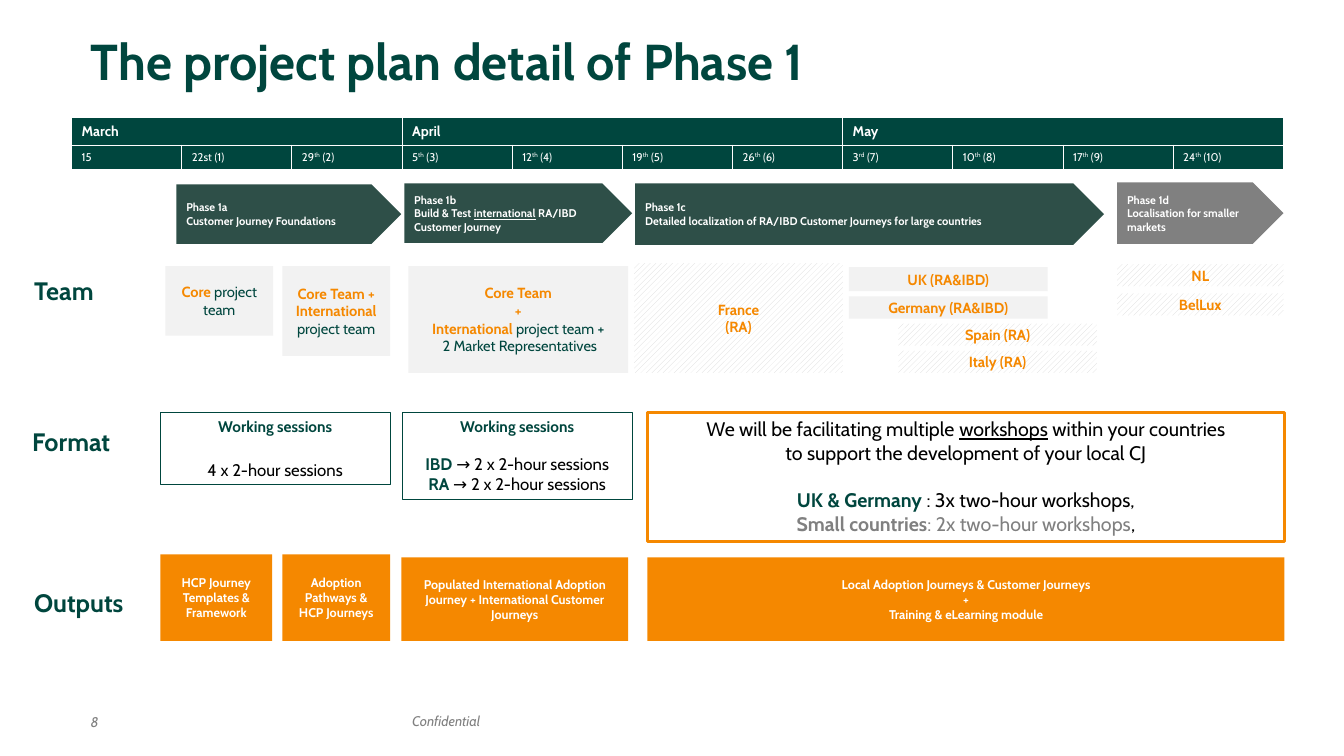
from lxml import etree
from pptx import Presentation
from pptx import util as u
from pptx.dml.color import RGBColor
from pptx.enum import dml, shapes, text
from pptx.oxml.ns import qn

FONT = "Cabin"
GREEN, SLATE, ORANGE = "00463E", "2E4F48", "F58800"
GREY, PALE, HATCH = "808080", "F2F2F2", "D9D9D9"
WHITE, BLACK = "FFFFFF", "000000"
LEFT, CENTER = text.PP_ALIGN.LEFT, text.PP_ALIGN.CENTER
TOP, MIDDLE = text.MSO_ANCHOR.TOP, text.MSO_ANCHOR.MIDDLE

PLAIN_GREEN = dict(color=GREEN, bold=False)
PLAIN_BLACK = dict(color=BLACK, bold=False)
STRONG_GREEN = dict(color=GREEN, bold=True)
UNDERLINED = dict(underline=True)


def rgb(value):
    return RGBColor.from_string(value)


def add_run(p, content, size, color, bold=False, italic=False,
            underline=False, superscript=False):
    r = p.add_run()
    r.text = content
    f = r.font
    f.name, f.size, f.color.rgb = FONT, u.Pt(size), rgb(color)
    f.bold, f.italic, f.underline = bold, italic, underline
    if superscript:
        r._r.get_or_add_rPr().set("baseline", "30000")


def write(tf, paras, align=LEFT, anchor=TOP, wrap=True, gaps=None, **base):
    """Fill a frame: a paragraph is a string or a list of strings and
    (string, format) pairs; gaps maps a paragraph index to its space before."""
    tf.word_wrap, tf.vertical_anchor = wrap, anchor
    for i, runs in enumerate(paras):
        p = tf.paragraphs[0] if i == 0 else tf.add_paragraph()
        p.alignment = align
        if gaps and i in gaps:
            p.space_before = u.Pt(gaps[i])
        for run in [runs] if isinstance(runs, str) else runs:
            content, extra = (run, {}) if isinstance(run, str) else run
            add_run(p, content, **{**base, **extra})


def place(sp, box):
    sp.left, sp.top, sp.width, sp.height = map(u.Inches, box)


def add_label(s, box, content, **fmt):
    sp = s.shapes.add_textbox(*map(u.Inches, box))
    write(sp.text_frame, [content], **fmt)


def add_block(s, box, paras, kind=shapes.MSO_SHAPE.RECTANGLE, fill=None,
              hatched=False, line=None, line_width=0.75, side=0.1, **fmt):
    sp = s.shapes.add_shape(kind, *map(u.Inches, box))
    sp.shadow.inherit = False
    if hatched:
        sp.fill.patterned()
        sp.fill.pattern = dml.MSO_PATTERN.WIDE_UPWARD_DIAGONAL
        sp.fill.fore_color.rgb, sp.fill.back_color.rgb = rgb(HATCH), rgb(WHITE)
    elif fill:
        sp.fill.solid()
        sp.fill.fore_color.rgb = rgb(fill)
    else:
        sp.fill.background()
    if line:
        sp.line.color.rgb, sp.line.width = rgb(line), u.Pt(line_width)
    else:
        sp.line.fill.background()
    tf = sp.text_frame
    tf.margin_left = tf.margin_right = u.Inches(side)
    write(tf, paras, **fmt)


def add_phase(s, box, name, detail, fill=SLATE):
    add_block(s, box, [name, detail], kind=shapes.MSO_SHAPE.PENTAGON,
              fill=fill, anchor=MIDDLE, size=8, color=WHITE, bold=True)


def add_team(s, box, paras, hatched=False, side=0.1):
    add_block(s, box, paras, fill=PALE, hatched=hatched, side=side,
              align=CENTER, anchor=MIDDLE, size=10.5, color=ORANGE, bold=True)


def add_output(s, box, *paras):
    add_block(s, box, paras, fill=ORANGE, align=CENTER, anchor=MIDDLE,
              size=9, color=WHITE, bold=True)


def add_sessions(s, box, gap, *sessions):
    add_block(s, box, ["Working sessions", *sessions], line=GREEN,
              align=CENTER, gaps={1: gap}, size=11, **STRONG_GREEN)


def style_cell(cell):
    tc_pr = cell._tc.get_or_add_tcPr()
    for side in ("lnL", "lnR", "lnT", "lnB"):
        ln = etree.SubElement(tc_pr, qn("a:" + side), w=str(u.Pt(0.75)))
        solid = etree.SubElement(ln, qn("a:solidFill"))
        etree.SubElement(solid, qn("a:srgbClr"), val=WHITE)
    cell.fill.solid()
    cell.fill.fore_color.rgb = rgb(GREEN)


def add_calendar(s):
    months = [("March", 0, 2), ("April", 3, 6), ("May", 7, 10)]
    weeks = [("15", "", ""), ("22st (1)", "", "")]
    days = [29, 5, 12, 19, 26, 3, 10, 17, 24]
    for number, day in enumerate(days, 2):
        weeks.append((str(day), "rd" if day == 3 else "th", f" ({number})"))

    box = map(u.Inches, (0.71, 1.17, 12.02, 0.5))
    table = s.shapes.add_table(2, len(weeks), *box).table
    table.first_row = table.horz_banding = False
    for row, height in zip(table.rows, (0.26, 0.24)):
        row.height = u.Inches(height)
    for cell in table.iter_cells():
        style_cell(cell)
    for month, first, last in months:
        cell = table.cell(0, first)
        cell.merge(table.cell(0, last))
        write(cell.text_frame, [month], size=10, color=WHITE, bold=True)
    for i, (day, suffix, number) in enumerate(weeks):
        runs = [day]
        if suffix:
            runs += [(suffix, dict(superscript=True)), number]
        write(table.cell(1, i).text_frame, [runs], size=8, color=WHITE)


def add_title(s, content):
    sp = s.shapes.title
    place(sp, (0.8, 0.28, 11.82, 1.42))
    tf = sp.text_frame
    tf.auto_size = text.MSO_AUTO_SIZE.NONE
    tf.margin_top, tf.margin_bottom = u.Inches(0.02), 0
    write(tf, [content], size=36, color=GREEN, bold=True)


def main():
    prs = Presentation()
    prs.slide_width, prs.slide_height = u.Inches(13.33), u.Inches(7.5)
    s = prs.slides.add_slide(prs.slide_layouts[5])
    add_title(s, "The project plan detail of Phase 1")
    add_calendar(s)

    add_phase(s, (1.75, 1.83, 2.23, 0.59), "Phase 1a",
              "Customer Journey Foundations")
    add_phase(s, (4.01, 1.82, 2.26, 0.59), "Phase 1b",
              ["Build & Test ", ("international", UNDERLINED),
               " RA/IBD Customer Journey"])
    add_phase(s, (6.3, 1.82, 4.65, 0.61), "Phase 1c",
              "Detailed localization of RA/IBD Customer Journeys for large countries")
    add_phase(s, (11.08, 1.81, 1.65, 0.61), "Phase 1d",
              "Localisation for smaller markets", fill=GREY)

    for name, left, top in [("Team", 0.24, 2.68), ("Format", 0.22, 4.18),
                            ("Outputs", 0.24, 5.78)]:
        add_label(s, (left, top, 1.35, 0.4), name, size=18, color=GREEN, bold=True)

    add_team(s, (1.64, 2.64, 1.07, 0.69), [["Core", (" project team", PLAIN_GREEN)]])
    add_team(s, (2.8, 2.64, 1.07, 0.89),
             [["Core Team + International", (" project team", PLAIN_GREEN)]], side=0.04)
    add_team(s, (4.05, 2.64, 2.18, 1.06),
             ["Core Team", "+", ["International", (" project team +", PLAIN_GREEN)],
              [(" 2 Market Representatives", PLAIN_GREEN)]])
    add_team(s, (6.29, 2.61, 2.07, 1.09), ["France", "(RA)"], hatched=True)
    for country, left, top, width, height, hatched in [
            ("UK (RA&IBD)", 8.42, 2.65, 1.97, 0.24, False),
            ("Germany (RA&IBD)", 8.42, 2.94, 1.97, 0.22, False),
            ("Spain (RA)", 8.91, 3.21, 1.97, 0.22, True),
            ("Italy (RA)", 8.91, 3.48, 1.97, 0.22, True),
            ("NL", 11.08, 2.62, 1.65, 0.22, True),
            ("BelLux", 11.08, 2.91, 1.65, 0.22, True)]:
        add_team(s, (left, top, width, height), [country], hatched=hatched)

    session = dict(size=12, **PLAIN_BLACK)
    add_sessions(s, (1.59, 4.09, 2.28, 0.72), 17, [("4 x 2-hour sessions", session)])
    add_sessions(s, (3.99, 4.09, 2.28, 0.87), 13,
                 *[[(group, dict(size=12)), ("→ 2 x 2-hour sessions", session)]
                   for group in ("IBD ", "RA ")])
    add_block(s, (6.42, 4.09, 6.32, 1.28),
              [["We will be facilitating multiple ", ("workshops", UNDERLINED),
                " within your countries"],
               "to support the development of your local CJ",
               [("UK & Germany ", STRONG_GREEN), ": 3x two-hour workshops,"],
               [("Small countries", dict(color=GREY, bold=True)),
                (": 2x two-hour workshops", dict(color=GREY)), ","]],
              line=ORANGE, line_width=2.25, align=CENTER, gaps={2: 17},
              size=14, color=BLACK)

    add_output(s, (1.59, 5.5, 1.11, 0.86), "HCP Journey Templates & Framework")
    add_output(s, (2.8, 5.5, 1.07, 0.86), "Adoption Pathways & HCP Journeys")
    add_output(s, (3.98, 5.53, 2.25, 0.83),
               "Populated International Adoption Journey + International Customer Journeys")
    add_output(s, (6.42, 5.53, 6.32, 0.83),
               "Local Adoption Journeys & Customer Journeys", "+",
               "Training & eLearning module")

    for content, box in [("Confidential", (3.99, 7.02, 0.93, 0.27)),
                         ("8", (0.8, 7.03, 0.41, 0.27))]:
        add_label(s, box, content, wrap=False, size=10, color=GREY, italic=True)
    prs.save("out.pptx")


if __name__ == "__main__":
    main()
